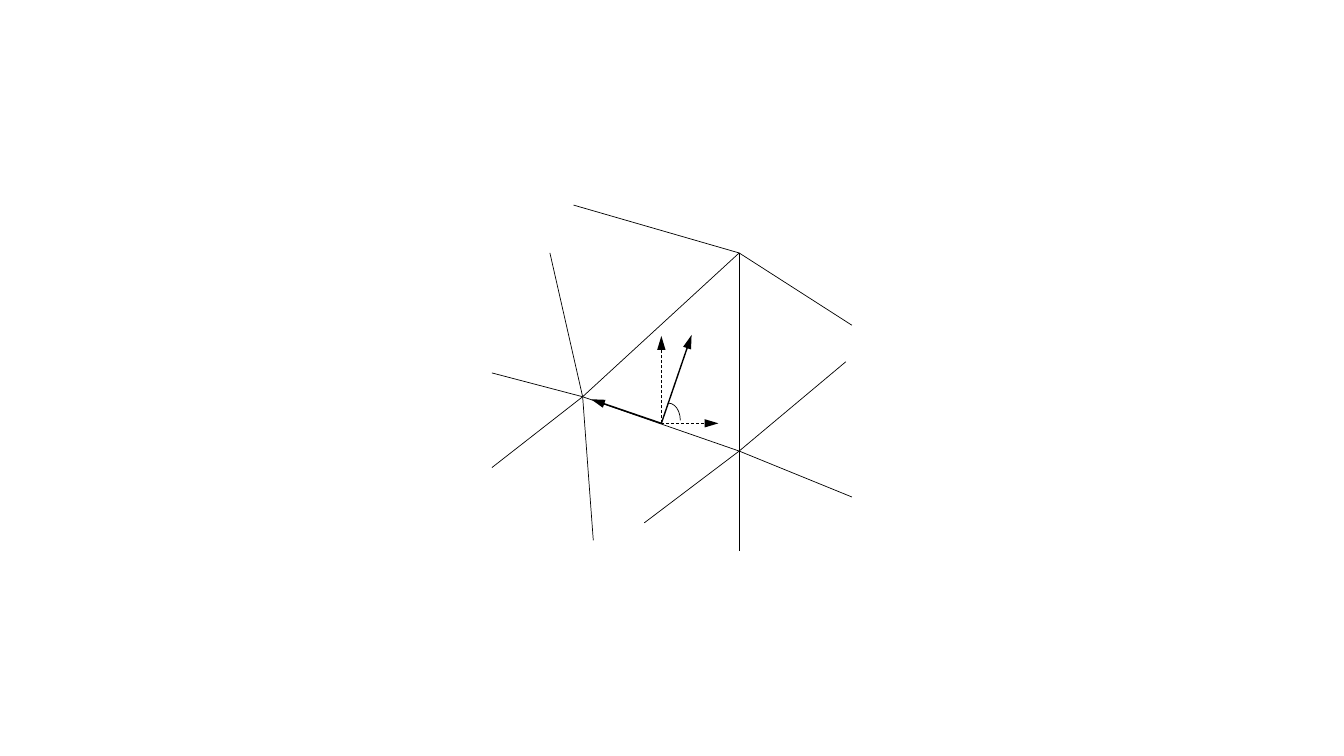
from lxml.etree import SubElement
from pptx import Presentation
from pptx.dml.color import RGBColor
from pptx.enum.dml import MSO_LINE
from pptx.enum.shapes import MSO_CONNECTOR, MSO_SHAPE
from pptx.oxml.ns import qn
from pptx.util import Pt

BLACK = RGBColor(0, 0, 0)
THIN, BOLD = 0.5, 1

APEX = (528, 180.7)
LEFT = (416.2, 283.4)
RIGHT = (528, 322.2)
ORIGIN = (472.4, 302.4)

MESH_EDGES = [
    (APEX, LEFT),
    (APEX, RIGHT),
    (RIGHT, LEFT),
    (APEX, (409.7, 146.5)),
    (APEX, (608.5, 232.3)),
    (LEFT, (392.8, 180.7)),
    (LEFT, (351.4, 334)),
    (LEFT, (351.4, 266.4)),
    (LEFT, (423.8, 386)),
    (RIGHT, (604.2, 258.4)),
    (RIGHT, (460.2, 373.5)),
    (RIGHT, (528, 393.7)),
    (RIGHT, (608.5, 355)),
]
VECTORS = [
    ((494, 239.3), BOLD, False),
    ((422.2, 285.2), BOLD, False),
    ((513.2, 302.4), THIN, True),
    ((472.4, 240), THIN, True),
]
ANGLE_ARC = (469.4, 288, 16.6, 24.5)


def draw_line(group, start, end, width=THIN, dashed=False, arrow=False):
    line = group.shapes.add_connector(
        MSO_CONNECTOR.STRAIGHT, *map(Pt, start + end))
    line.line.color.rgb = BLACK
    line.line.width = Pt(width)
    if dashed:
        line.line.dash_style = MSO_LINE.DASH
    properties = line._element.spPr
    if arrow:
        outline = properties.find(qn("a:ln"))
        SubElement(outline, qn("a:tailEnd"), type="triangle", w="med", len="lg")
    SubElement(properties, qn("a:effectLst"))


def draw_arc(group, frame):
    arc = group.shapes.add_shape(MSO_SHAPE.ARC, *map(Pt, frame))
    arc.shadow.inherit = False
    arc.fill.background()
    arc.line.color.rgb = BLACK
    arc.line.width = Pt(THIN)


def main():
    deck = Presentation()
    deck.slide_width, deck.slide_height = Pt(960), Pt(540)
    page = deck.slides.add_slide(deck.slide_layouts[6])
    mesh = page.shapes.add_group_shape()
    for start, end in MESH_EDGES:
        draw_line(mesh, start, end)
    for tip, width, dashed in VECTORS:
        draw_line(mesh, ORIGIN, tip, width, dashed, arrow=True)
    draw_arc(mesh, ANGLE_ARC)
    deck.save("out.pptx")


if __name__ == "__main__":
    main()
